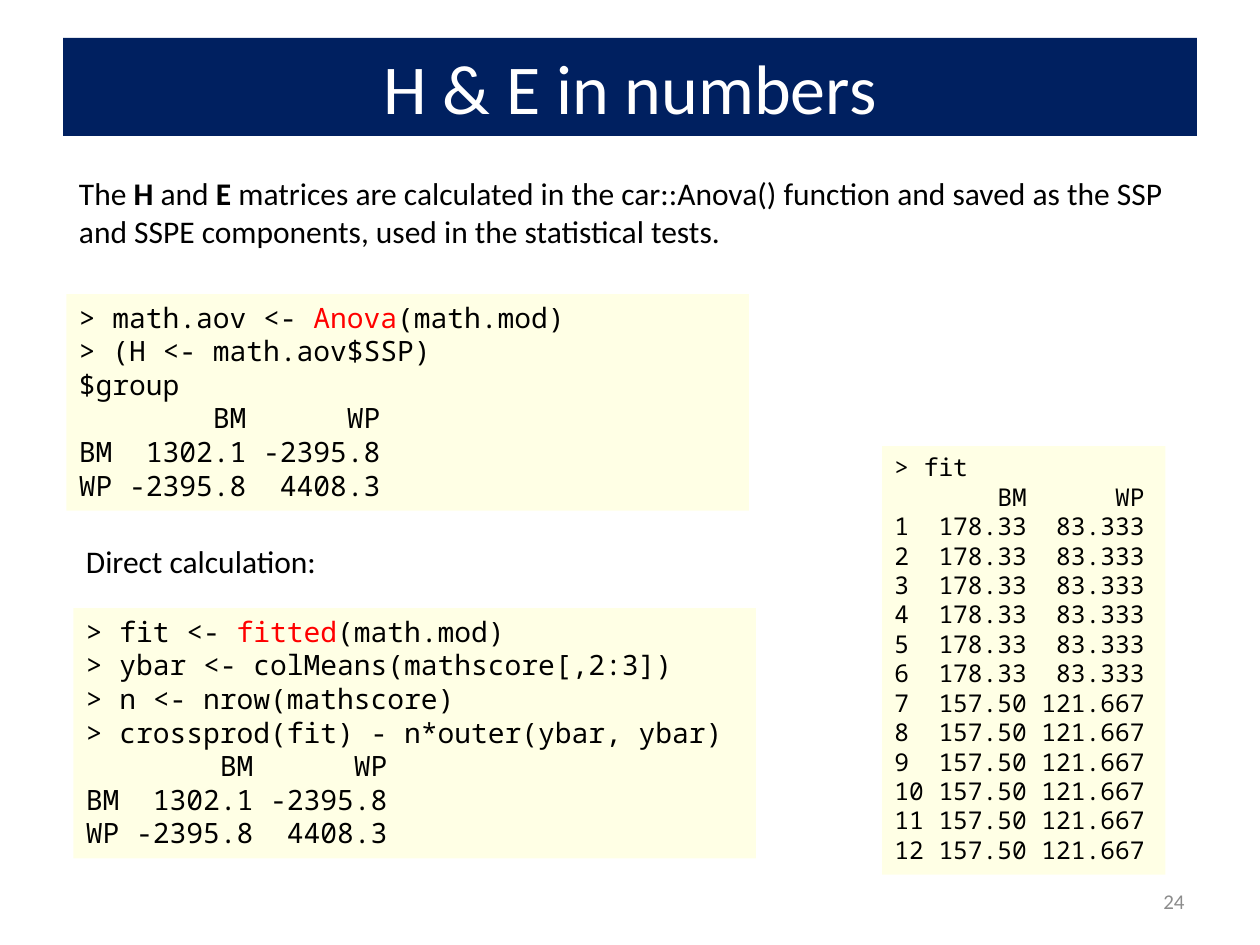
from dataclasses import dataclass

from lxml import etree
from pptx import Presentation
from pptx.dml.color import RGBColor
from pptx.enum import shapes, text
from pptx.oxml import ns
from pptx.util import Pt


@dataclass(frozen=True)
class Theme:
    """Colours, fonts and type sizes."""
    navy: str = "002060"
    white: str = "FFFFFF"
    black: str = "000000"
    red: str = "FF0000"
    gray: str = "8C8C8C"
    yellow: str = "FFFF00"
    tint: int = 10
    sans: str = "Calibri"
    mono: str = "Noto Sans Mono"
    title: int = 40
    body: int = 18
    page: int = 12
    pitch: float = 1.2


@dataclass(frozen=True)
class Box:
    """Place of a box in points."""
    x: float
    y: float
    w: float
    h: float

    def pts(self) -> list:
        """Give the four lengths in order."""
        return [Pt(v) for v in (self.x, self.y, self.w, self.h)]


@dataclass(frozen=True)
class Code:
    """A code panel; words between bars are marked."""
    box: Box
    size: int
    lines: tuple


@dataclass(frozen=True)
class Note:
    """A plain text; words between bars are bold."""
    box: Box
    size: int
    words: str
    color: str
    align: text.PP_ALIGN = text.PP_ALIGN.LEFT
    anchor: text.MSO_ANCHOR = text.MSO_ANCHOR.TOP


T = Theme()
SSP = ("        BM      WP", "BM  1302.1 -2395.8", "WP -2395.8  4408.3")
MEANS = ("178.33  83.333", "157.50 121.667")
FIT = tuple(f"{n:<2} {MEANS[n > 6]}" for n in range(1, 13))

CODES = (
    Code(Box(38, 168, 390, 123.8), 16,
         ("> math.aov <- |Anova|(math.mod)", "> (H <- math.aov$SSP)",
          "$group") + SSP),
    Code(Box(42, 347.5, 390, 143), 16,
         ("> fit <- |fitted|(math.mod)",
          "> ybar <- colMeans(mathscore[,2:3])",
          "> n <- nrow(mathscore)",
          "> crossprod(fit) - n*outer(ybar, ybar)") + SSP),
    Code(Box(504, 255, 162, 244.8), 14,
         ("> fit", "       BM      WP") + FIT),
)
NOTES = (
    Note(Box(38, 96, 652, 51), T.body,
         "The |H| and |E| matrices are calculated in the car::Anova() function "
         "and saved as the SSP and SSPE components, used in the statistical "
         "tests.", T.black),
    Note(Box(42, 306, 156, 29), T.body, "Direct calculation:", T.black),
    Note(Box(516, 500.5, 168, 28.8), T.page, "24", T.gray,
         text.PP_ALIGN.RIGHT, text.MSO_ANCHOR.MIDDLE),
)


def rgb(code: str) -> RGBColor:
    """Turn a hex code into a colour."""
    return RGBColor.from_string(code)


def style(para, face: str, size: int, color: str) -> None:
    """Set the font of a paragraph."""
    para.font.name = face
    para.font.size = Pt(size)
    para.font.color.rgb = rgb(color)


def write(para, words: str) -> list:
    """Add runs split at bars and return the marked ones."""
    runs = []
    for part in words.split("|"):
        run = para.add_run()
        run.text = part
        runs.append(run)
    return runs[1::2]


def head(slide, words: str) -> None:
    """Fill the title bar."""
    bar = slide.shapes.title
    bar.left, bar.top, bar.width, bar.height = Box(36, 21.6, 648, 56).pts()
    bar.fill.solid()
    bar.fill.fore_color.rgb = rgb(T.navy)
    frame = bar.text_frame
    frame.text = words
    frame.vertical_anchor = text.MSO_ANCHOR.MIDDLE
    para = frame.paragraphs[0]
    para.alignment = text.PP_ALIGN.CENTER
    style(para, T.sans, T.title, T.white)


def panel(slide, code: Code) -> None:
    """Draw a tinted code panel."""
    shape = slide.shapes.add_shape(shapes.MSO_SHAPE.RECTANGLE, *code.box.pts())
    shape.shadow.inherit = False
    shape.line.fill.background()
    shape.fill.solid()
    shape.fill.fore_color.rgb = rgb(T.yellow)
    tone = shape.fill._xPr.find(".//" + ns.qn("a:srgbClr"))
    etree.SubElement(tone, ns.qn("a:alpha"), val=str(T.tint * 1000))
    frame = shape.text_frame
    frame.word_wrap = True
    frame.vertical_anchor = text.MSO_ANCHOR.TOP
    for i, line in enumerate(code.lines):
        para = frame.add_paragraph() if i else frame.paragraphs[0]
        para.alignment = text.PP_ALIGN.LEFT
        para.line_spacing = Pt(code.size * T.pitch)
        style(para, T.mono, code.size, T.black)
        for run in write(para, line):
            run.font.color.rgb = rgb(T.red)


def label(slide, note: Note) -> None:
    """Place a text box."""
    frame = slide.shapes.add_textbox(*note.box.pts()).text_frame
    frame.word_wrap = True
    frame.vertical_anchor = note.anchor
    para = frame.paragraphs[0]
    para.alignment = note.align
    style(para, T.sans, note.size, note.color)
    for run in write(para, note.words):
        run.font.bold = True


def main() -> None:
    """Build and save the slide."""
    deck = Presentation()
    deck.slide_width, deck.slide_height = Pt(720), Pt(540)
    slide = deck.slides.add_slide(deck.slide_layouts[5])
    head(slide, "H & E in numbers")
    for code in CODES:
        panel(slide, code)
    for note in NOTES:
        label(slide, note)
    deck.save("out.pptx")


if __name__ == "__main__":
    main()
